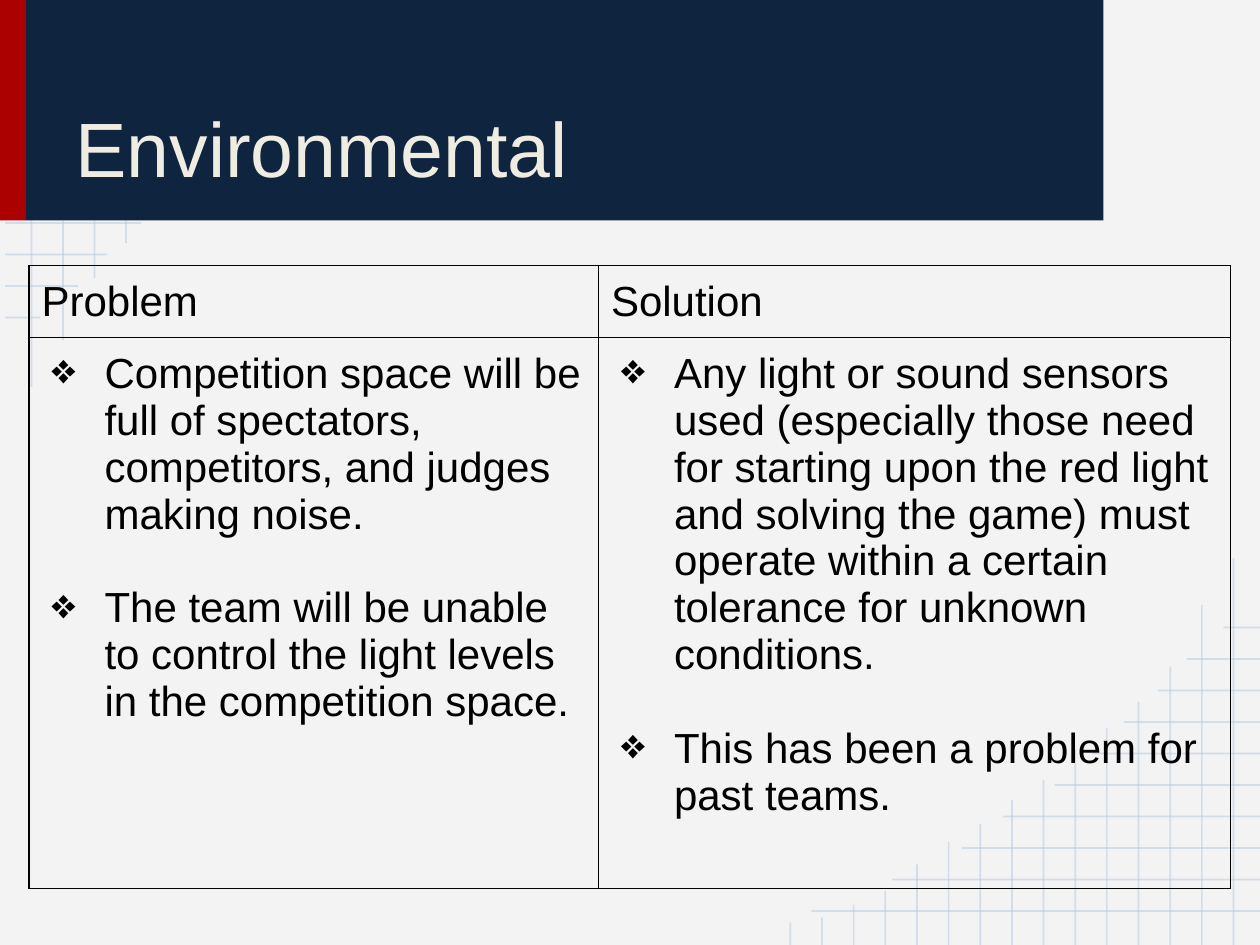
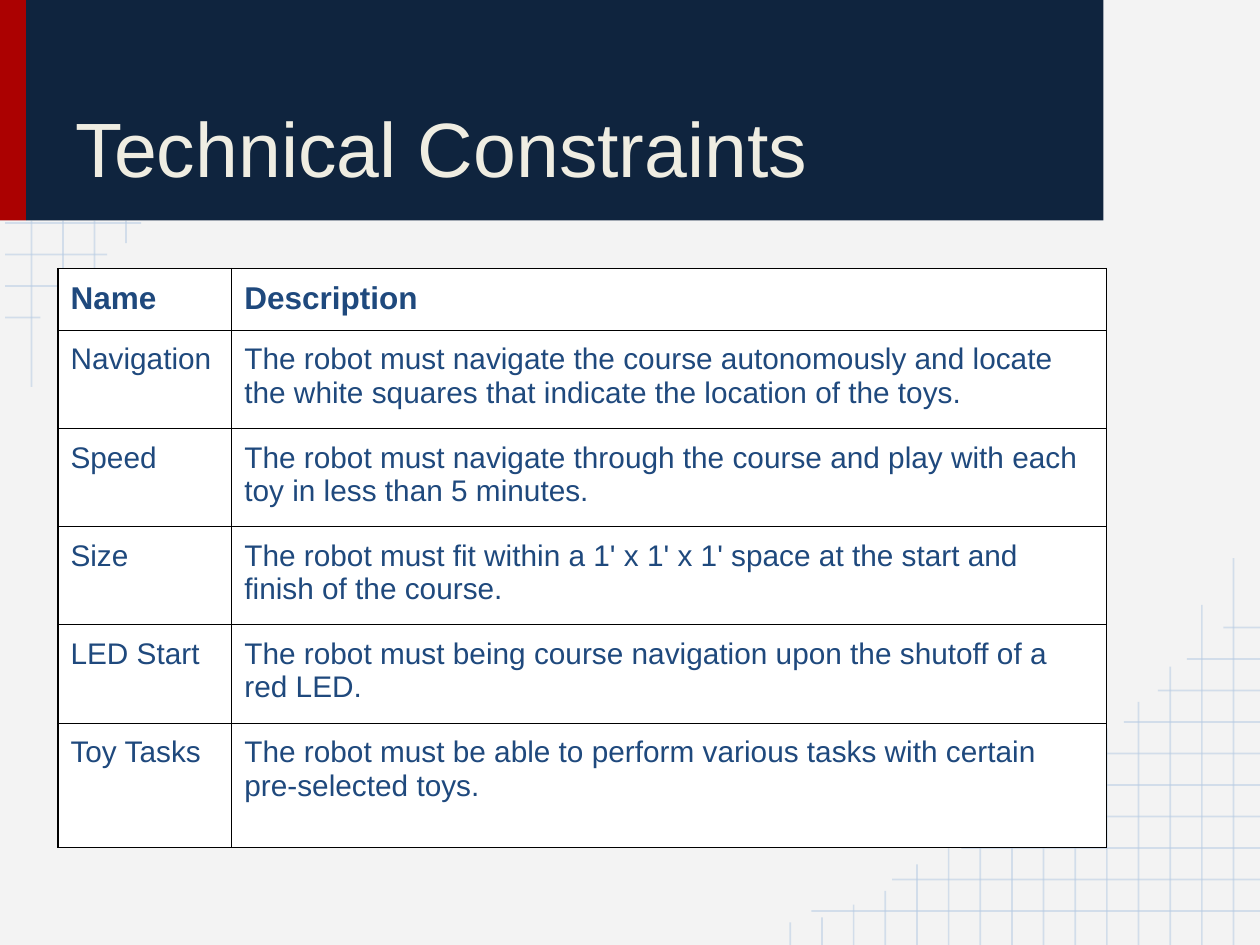
from lxml.etree import SubElement
from pptx import Presentation
from pptx.dml.color import RGBColor
from pptx.enum.shapes import MSO_CONNECTOR, MSO_SHAPE
from pptx.enum.text import MSO_ANCHOR, MSO_AUTO_SIZE, PP_ALIGN
from pptx.oxml.ns import qn
from pptx.util import Inches, Pt

COLUMNS, ROWS = 40, 30
NO_STYLE = "{2D5ABB26-0587-4C30-8999-92F81FD0307C}"

LEFT_RULE_ENDS = [4.48, 3.4, 2.48, 1.28]
LEFT_RULE_BOTTOMS = [12.28, 10.8, 8.84, 7.72]
RIGHT_RULE_STARTS = [25.76, 28.32, 30.52, 31.84, 33.48, 34.68, 35.68, 36.76, 37.68, 38.84]
RIGHT_RULE_TOPS = [17.72, 19.2, 21.16, 22.28, 23.12, 23.8, 24.76, 25.4,
                   26.16, 26.72, 27.44, 28.28, 28.72, 29.12, 29.28]

ENVIRONMENT = [
    ["Problem", "Solution"],
    [
        [
            "Competition space will be full of spectators, competitors, and judges making noise.",
            "The team will be unable to control the light levels in the competition space.",
        ],
        [
            "Any light or sound sensors used (especially those need for starting upon the red light "
            "and solving the game) must operate within a certain tolerance for unknown conditions.",
            "This has been a problem for past teams.",
        ],
    ],
]

CONSTRAINTS = [
    ["Name", "Description"],
    ["Navigation", "The robot must navigate the course autonomously and locate the white squares "
                   "that indicate the location of the toys."],
    ["Speed", "The robot must navigate through the course and play with each toy "
              "in less than 5 minutes."],
    ["Size", "The robot must fit within a 1' x 1' x 1' space at the start and finish of the course."],
    ["LED Start", "The robot must being course navigation upon the shutoff of a red LED."],
    ["Toy Tasks", "The robot must be able to perform various tasks with certain pre-selected toys."],
]


def rgb(value):
    return RGBColor.from_string(value)


class Deck:
    font = "Arial"
    paper, navy, red = "F3F3F3", "0F243E", "AB0101"
    rule_color, title_color = "B7CCE4", "EFEDE2"
    black, blue, white = "000000", "1F497D", "FFFFFF"

    def __init__(self):
        self.prs = Presentation()
        self.prs.slide_width, self.prs.slide_height = Inches(10), Inches(7.5)
        self.layout = self.prs.slide_layouts[5]
        self.slide = None

    def x(self, columns):
        return round(self.prs.slide_width * columns / COLUMNS)

    def y(self, rows):
        return round(self.prs.slide_height * rows / ROWS)

    def box(self, left, top, width, height):
        return self.x(left), self.y(top), self.x(width), self.y(height)

    def style(self, paragraph, size, color, bold=False):
        for run in paragraph.runs:
            run.font.name, run.font.size, run.font.bold = self.font, Pt(size), bold
            run.font.color.rgb = rgb(color)

    def new_slide(self, heading):
        self.slide = self.prs.slides.add_slide(self.layout)
        title = self.slide.shapes.title
        title.left, title.top, title.width, title.height = self.box(2, 0.6, 32, 5.92)
        frame = title.text_frame
        frame.text = heading
        frame.word_wrap = True
        frame.auto_size = MSO_AUTO_SIZE.NONE
        frame.vertical_anchor = MSO_ANCHOR.BOTTOM
        frame.margin_left = frame.margin_right = Inches(0.1)
        frame.margin_top = frame.margin_bottom = Inches(0.1)
        frame.paragraphs[0].alignment = PP_ALIGN.LEFT
        self.style(frame.paragraphs[0], 44, self.title_color)

    def rule(self, x1, y1, x2, y2):
        line = self.slide.shapes.add_connector(
            MSO_CONNECTOR.STRAIGHT, self.x(x1), self.y(y1), self.x(x2), self.y(y2))
        line.line.width = Pt(1)
        line.line.color.rgb = rgb(self.rule_color)
        for color in line.element.iter(qn("a:srgbClr")):
            SubElement(color, qn("a:alpha"), val="54000")
        SubElement(line.element.spPr, qn("a:effectLst"))
        return line

    def band(self, left, width, color):
        block = self.slide.shapes.add_shape(MSO_SHAPE.RECTANGLE, *self.box(left, 0, width, 7))
        block.shadow.inherit = False
        block.fill.solid()
        block.fill.fore_color.rgb = rgb(color)
        block.line.fill.background()
        return block

    def decorate_layout(self):
        self.layout.background.fill.solid()
        self.layout.background.fill.fore_color.rgb = rgb(self.paper)
        for footer in list(self.layout.placeholders)[1:]:
            footer.element.getparent().remove(footer.element)
        decor = [self.rule(0.16, 7.08 + i, end, 7.08 + i) for i, end in enumerate(LEFT_RULE_ENDS)]
        decor += [self.rule(1 + i, 7, 1 + i, bottom) for i, bottom in enumerate(LEFT_RULE_BOTTOMS)]
        decor += [self.rule(start, 28.92 - i, COLUMNS, 28.92 - i)
                  for i, start in enumerate(RIGHT_RULE_STARTS)]
        for i, top in enumerate(RIGHT_RULE_TOPS):
            across = 39.16 - 1.005 * i
            decor.append(self.rule(across, top, across, ROWS))
        decor += [self.band(0, 0.83, self.red), self.band(0.83, 34.2, self.navy)]
        for part in decor:
            self.layout.shapes.element.append(part.element)

    def border(self, cell):
        properties = cell._tc.get_or_add_tcPr()
        for side in ("lnL", "lnR", "lnT", "lnB"):
            edge = SubElement(properties, qn(f"a:{side}"), w=str(Pt(0.75)))
            fill = SubElement(edge, qn("a:solidFill"))
            SubElement(fill, qn("a:srgbClr"), val=self.black)

    def bullet(self, paragraph):
        properties = paragraph._p.get_or_add_pPr()
        properties.set("marL", str(Inches(0.5)))
        properties.set("indent", str(Inches(-0.42)))
        color = SubElement(properties, qn("a:buClr"))
        SubElement(color, qn("a:srgbClr"), val=self.black)
        SubElement(properties, qn("a:buChar"), char="❖")

    def fill_cell(self, cell, content, size, color, bold, fill):
        cell.margin_left = cell.margin_right = Inches(0.1)
        cell.margin_top = cell.margin_bottom = Inches(0.1)
        self.border(cell)
        if fill:
            cell.fill.solid()
            cell.fill.fore_color.rgb = rgb(fill)
        else:
            cell.fill.background()
        bulleted = isinstance(content, list)
        cell.text_frame.text = "\n".join(content) if bulleted else content
        for index, paragraph in enumerate(cell.text_frame.paragraphs):
            if bulleted:
                self.bullet(paragraph)
            if index:
                paragraph.space_before = Pt(size * 1.12)
            self.style(paragraph, size, color, bold)

    def table(self, left, top, widths, heights, content, sizes, color, bold_head=False, fill=None):
        frame = self.slide.shapes.add_table(
            len(heights), len(widths), *self.box(left, top, sum(widths), sum(heights)))
        for style_id in frame.element.iter(qn("a:tableStyleId")):
            style_id.text = NO_STYLE
        grid = frame.table
        grid.first_row = grid.horz_banding = False
        for column, width in zip(grid.columns, widths):
            column.width = self.x(width)
        for r, (row, height) in enumerate(zip(grid.rows, heights)):
            row.height = self.y(height)
            size = sizes[min(r, 1)]
            for cell, entry in zip(row.cells, content[r]):
                self.fill_cell(cell, entry, size, color, bold_head and r == 0, fill)


def main():
    deck = Deck()
    deck.new_slide("Environmental")
    deck.decorate_layout()
    deck.table(0.92, 8.44, [18.08, 20.08], [2.24, 17.48], ENVIRONMENT, (24, 24), deck.black)

    deck.new_slide("Technical Constraints")
    deck.table(1.84, 8.52, [5.52, 27.76], [1.96] + [3.12] * 4 + [3.96], CONSTRAINTS, (18, 17),
               deck.blue, bold_head=True, fill=deck.white)
    deck.prs.save("out.pptx")


if __name__ == "__main__":
    main()
